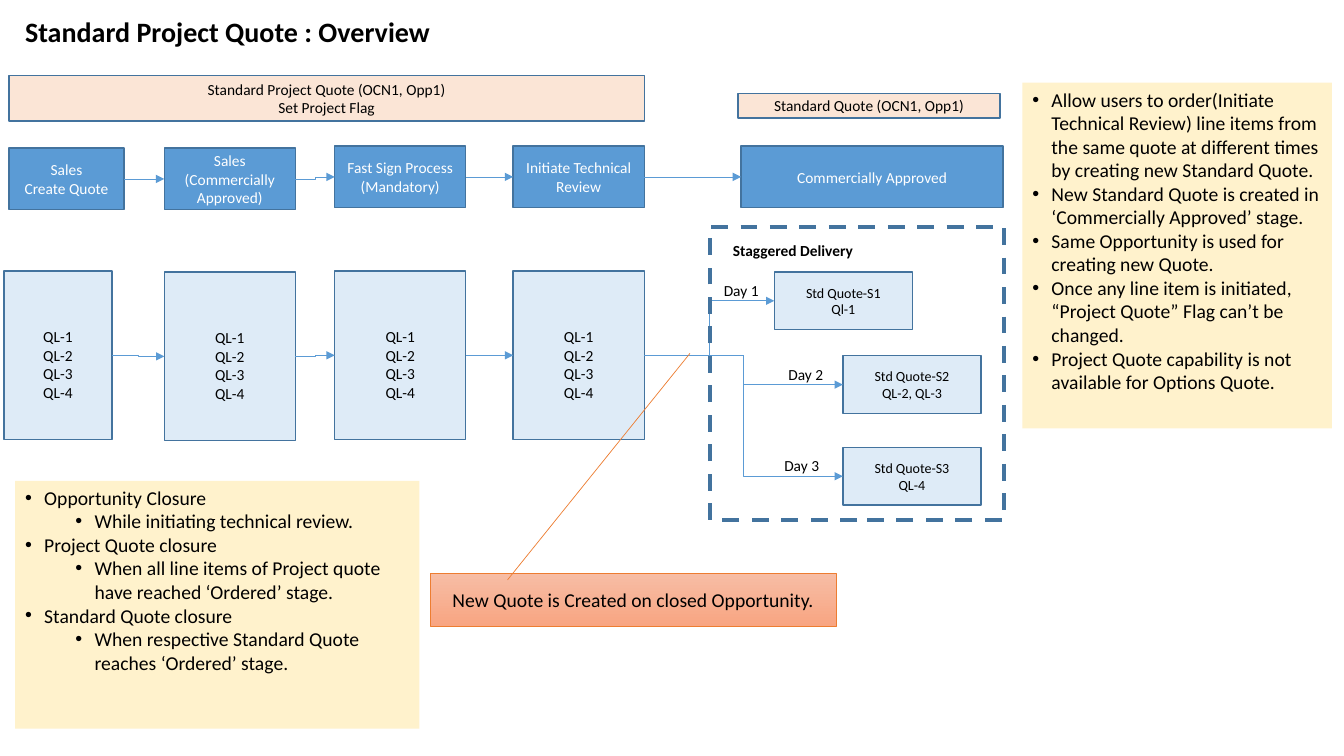
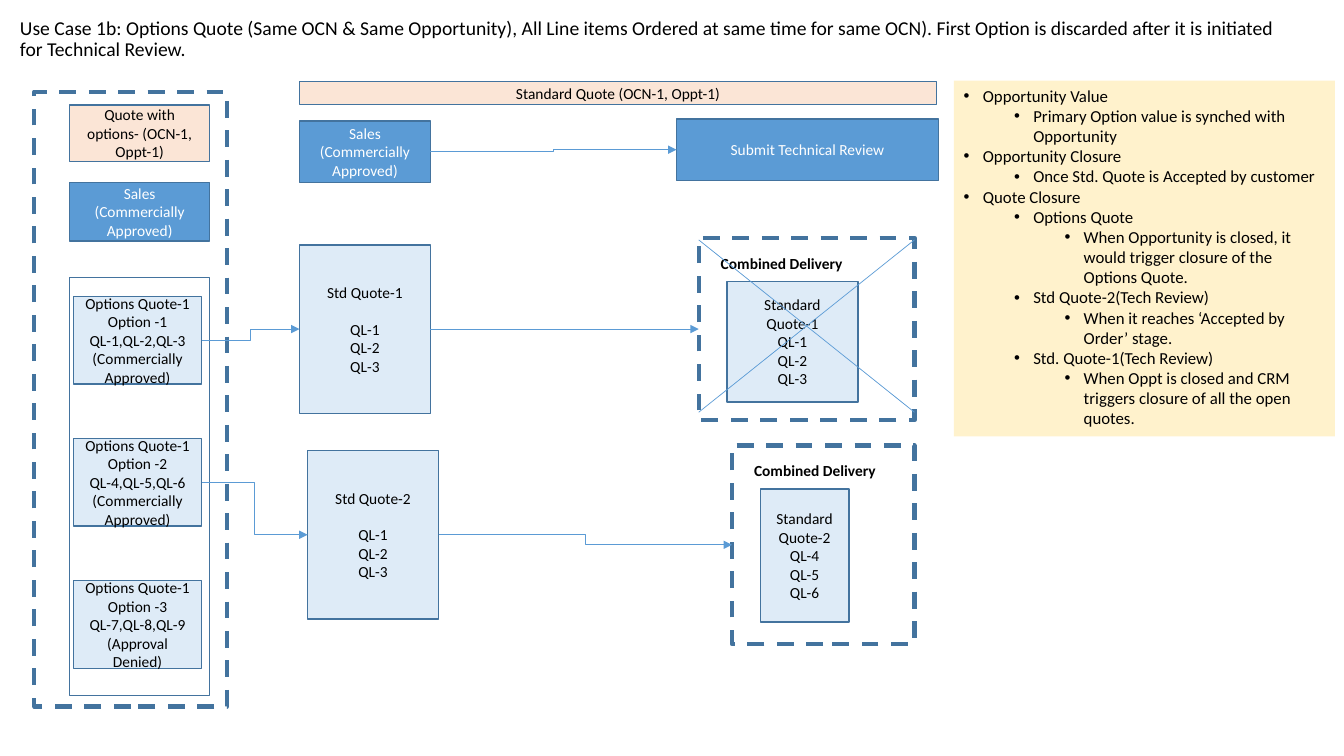
from lxml.etree import SubElement
from pptx import Presentation
from pptx.dml.color import RGBColor
from pptx.enum.dml import MSO_LINE
from pptx.enum.shapes import MSO_CONNECTOR as CONN, MSO_SHAPE as SHAPE
from pptx.enum.text import MSO_ANCHOR as ANCHOR, PP_ALIGN as ALIGN
from pptx.oxml.ns import qn
from pptx.util import Inches, Pt

FONT = "Calibri"
COLORS = {
    "text": "000000", "white": "FFFFFF", "stage": "5B9BD5", "items": "DEEBF7",
    "header": "FBE5D6", "note": "FFF2CC", "border": "43739E", "accent": "ED7D31",
    "callout_top": "F7BDA5", "callout_bottom": "F8A582",
}
LEFT_SITE, RIGHT_SITE = 1, 3
BLANK_LINE = 0.18
APPROVED = "Sales\n(Commercially Approved)"


def rgb(name):
    """Return the named colour."""
    return RGBColor.from_string(COLORS[name])


def write(shape, text, size=11, color="text", bold=False, align=ALIGN.CENTER,
          anchor=ANCHOR.MIDDLE):
    """Fill a shape with wrapped text in one style."""
    tf = shape.text_frame
    tf.text = text
    tf.word_wrap = True
    tf.vertical_anchor = anchor
    for p in tf.paragraphs:
        p.alignment = align
        for r in p.runs:
            r.font.name, r.font.size, r.font.bold = FONT, Pt(size), bold
            r.font.color.rgb = rgb(color)
    return tf


def add_box(s, x, y, w, h, text="", fill=None, size=11, kind=SHAPE.RECTANGLE):
    """Add a bordered box with centred text."""
    sp = s.shapes.add_shape(kind, Inches(x), Inches(y), Inches(w), Inches(h))
    sp.shadow.inherit = False
    if fill:
        sp.fill.solid()
        sp.fill.fore_color.rgb = rgb(fill)
    else:
        sp.fill.background()
    sp.line.color.rgb = rgb("border")
    sp.line.width = Pt(1)
    write(sp, text, size, "white" if fill == "stage" else "text")
    return sp


def add_frame(s, x, y, w, h):
    """Add a thick dashed frame."""
    sp = add_box(s, x, y, w, h)
    sp.line.width = Pt(3)
    sp.line.dash_style = MSO_LINE.DASH
    return sp


def add_label(s, x, y, w, text, h=0.29, size=11, bold=False, anchor=ANCHOR.TOP):
    """Add left-aligned text without a border."""
    sp = s.shapes.add_textbox(Inches(x), Inches(y), Inches(w), Inches(h))
    return write(sp, text, size, bold=bold, align=ALIGN.LEFT, anchor=anchor)


def add_title(s, x, y, w, h, text, size, bold=False):
    """Add the slide title."""
    tf = add_label(s, x, y, w, text, h, size, bold, ANCHOR.MIDDLE)
    tf.paragraphs[0].line_spacing = 0.9


def add_notes_panel(s, x, y, w, h, items, size):
    """Add a bulleted panel from (level, text) pairs."""
    sp = add_box(s, x, y, w, h, fill="note")
    sp.line.fill.background()
    tf = write(sp, "\n".join(text for _, text in items), size,
               align=ALIGN.LEFT, anchor=ANCHOR.TOP)
    for p, (level, _) in zip(tf.paragraphs, items):
        p.level = level
        pPr = p._p.get_or_add_pPr()
        pPr.set("marL", str(Inches(0.19 + 0.5 * level)))
        pPr.set("indent", str(Inches(-0.19)))
        SubElement(pPr, qn("a:buFont")).set("typeface", "Arial")
        SubElement(pPr, qn("a:buChar")).set("char", "•")


def add_line(s, x1, y1, x2, y2, kind=CONN.STRAIGHT):
    """Add a thin line without a shadow."""
    c = s.shapes.add_connector(kind, x1, y1, x2, y2)
    c.line.color.rgb = rgb("stage")
    c.line.width = Pt(0.5)
    SubElement(c._element.spPr, qn("a:effectLst"))
    return c


def link(s, start, end):
    """Join two boxes, right side to left side, with an elbow arrow."""
    c = add_line(s, start.left + start.width, start.top + start.height // 2,
                 end.left, end.top + end.height // 2, CONN.ELBOW)
    c.begin_connect(start, RIGHT_SITE)
    c.end_connect(end, LEFT_SITE)
    ln = c._element.spPr.find(qn("a:ln"))
    SubElement(ln, qn("a:tailEnd")).set("type", "triangle")


def link_row(s, boxes):
    """Join neighbouring boxes with arrows."""
    for start, end in zip(boxes, boxes[1:]):
        link(s, start, end)


def add_stages(s, x, y):
    """Draw the quote headers and the row of process stages."""
    add_box(s, x, y, 6.3, 0.45, "Standard Project Quote (OCN1, Opp1)\nSet Project Flag", "header")
    add_box(s, x + 7.23, y + 0.18, 2.6, 0.24, "Standard Quote (OCN1, Opp1)", "header")
    stages = [
        (0, 0.72, 1.14, "Sales\nCreate Quote"),
        (1.54, 0.72, 1.3, APPROVED),
        (3.23, 0.7, 1.3, "Fast Sign Process\n(Mandatory)"),
        (5, 0.7, 1.3, "Initiate Technical Review"),
        (7.26, 0.7, 2.6, "Commercially Approved"),
    ]
    link_row(s, [add_box(s, x + dx, y + dy, w, 0.61, text, "stage")
                 for dx, dy, w, text in stages])


def add_line_items(s, x, y):
    """Draw the line items of each stage and return the last box."""
    text = "\n".join(f"QL-{n}" for n in range(1, 5))
    boxes = []
    for dx, dy, w in [(0, 0, 1.07), (1.59, 0.01, 1.3), (3.28, 0, 1.3), (5.05, 0, 1.3)]:
        sp = add_box(s, x + dx, y + dy, w, 1.67, text, "items")
        sp.text_frame.margin_top = Inches(0.05 + BLANK_LINE)
        boxes.append(sp)
    link_row(s, boxes)
    return boxes[-1]


def add_staggered_delivery(s, x, y, w, h, source):
    """Draw the framed deliveries, each fed from the source box."""
    deliveries = [
        (0.64, 0.45, 0.04, "Std Quote-S1\nQl-1"),
        (1.32, 1.28, 0.68, "Std Quote-S2\nQL-2, QL-3"),
        (1.32, 2.19, 0.64, "Std Quote-S3\nQL-4"),
    ]
    for day, (dx, dy, label_dx, text) in enumerate(deliveries, 1):
        quote = add_box(s, x + dx, y + dy, 1.37, 0.57, text, "items", 10)
        link(s, source, quote)
        add_label(s, x + label_dx, y + dy + 0.04, 0.75, f"Day {day}")
    add_frame(s, x, y, w, h)
    add_label(s, x + 0.13, y + 0.09, 2.15, "Staggered Delivery", bold=True)


def add_callout(s, x, y, w, h, text):
    """Draw the gradient callout with its pointer line."""
    sp = add_box(s, x, y, w, h, text, size=14, kind=SHAPE.LINE_CALLOUT_1)
    for i, value in enumerate([0.12, 0.19, -4.2, 0.64]):
        sp.adjustments[i] = value
    sp.fill.gradient()
    sp.fill.gradient_angle = 270
    for stop, name in zip(sp.fill.gradient_stops, ("callout_top", "callout_bottom")):
        stop.color.rgb = rgb(name)
    sp.line.color.rgb = rgb("accent")
    sp.line.width = Pt(0.5)


def add_options(s, x, y, w, h):
    """Draw the framed quote options and return their boxes."""
    left = x + 0.35
    add_box(s, left, y + 0.13, 1.39, 0.56, "Quote with options- (OCN-1, Oppt-1)", "header")
    add_box(s, left, y + 0.9, 1.39, 0.58, APPROVED, "stage")
    add_box(s, left, y + 1.84, 1.39, 4.15)
    options = [
        "QL-1,QL-2,QL-3\n(Commercially Approved)",
        "QL-4,QL-5,QL-6\n(Commercially Approved)",
        "QL-7,QL-8,QL-9\n(Approval Denied)",
    ]
    boxes = [add_box(s, left + 0.04, y + 2.03 + 1.41 * i, 1.27, 0.87,
                     f"Options Quote-1\nOption -{i + 1}\n{text}", "items")
             for i, text in enumerate(options)]
    add_frame(s, x, y, w, h)
    return boxes


def add_standard_header(s, x, y):
    """Draw the standard quote header with its two stages."""
    add_box(s, x, y, 6.32, 0.23, "Standard Quote (OCN-1, Oppt-1)", "header")
    link_row(s, [
        add_box(s, x, y + 0.39, 1.3, 0.61, APPROVED, "stage"),
        add_box(s, x + 3.74, y + 0.37, 2.6, 0.61, "Submit Technical Review", "stage"),
    ])


def add_standard_quote(s, x, y, number):
    """Draw one standard quote with its line items."""
    sp = add_box(s, x, y, 1.3, 1.67, f"Std Quote-{number}\nQL-1\nQL-2\nQL-3", "items")
    sp.text_frame.paragraphs[0].space_after = Inches(BLANK_LINE)
    return sp


def add_combined_delivery(s, x, y, w, h, quote_w, quote_h, text, source):
    """Draw a framed delivery fed from the source box."""
    add_box(s, x + 0.28, y + 0.43, quote_w, quote_h, text, "items")
    link(s, source, add_frame(s, x, y, w, h))
    add_label(s, x + 0.12, y + 0.11, 1.45, "Combined Delivery", bold=True)


def add_cross(s, x, y, w, h):
    """Cross out a region."""
    x1, y1, x2, y2 = (Inches(v) for v in (x, y, x + w, y + h))
    add_line(s, x1, y1, x2, y2)
    add_line(s, x2, y1, x1, y2)


def build_overview(s):
    """Build the overview of the standard project quote."""
    add_title(s, 0.15, 0.14, 5.21, 0.38, "Standard Project Quote : Overview", 20, True)
    add_stages(s, 0.09, 0.75)
    source = add_line_items(s, 0.04, 2.69)
    add_notes_panel(s, 0.15, 4.77, 4.01, 2.46, [
        (0, "Opportunity Closure"),
        (1, "While initiating technical review."),
        (0, "Project Quote closure"),
        (1, "When all line items of Project quote have reached ‘Ordered’ stage."),
        (0, "Standard Quote closure"),
        (1, "When respective Standard Quote reaches ‘Ordered’ stage."),
    ], 14)
    add_staggered_delivery(s, 7.04, 2.25, 2.92, 2.91, source)
    add_callout(s, 4.27, 5.69, 4.02, 0.52, "New Quote is Created on closed Opportunity.")
    add_notes_panel(s, 10.14, 0.82, 3.07, 3.43, [
        (0, "Allow users to order(Initiate Technical Review) line items from the same "
            "quote at different times by creating new Standard Quote."),
        (0, "New Standard Quote is created in ‘Commercially Approved’ stage."),
        (0, "Same Opportunity is used for creating new Quote."),
        (0, "Once any line item is initiated, “Project Quote” Flag can’t be changed."),
        (0, "Project Quote capability is not available for Options Quote."),
    ], 14)


def build_use_case(s):
    """Build the use case with quote options."""
    add_title(s, 0.1, 0.15, 12.86, 0.49,
              "Use Case 1b: Options Quote (Same OCN & Same Opportunity), All Line items "
              "Ordered at same time for same OCN). First Option is discarded after it is "
              "initiated for Technical Review.", 14)
    options = add_options(s, 0.34, 0.91, 1.91, 6.1)
    add_standard_header(s, 2.97, 0.81)
    quotes = [add_standard_quote(s, 2.97, 2.43, 1), add_standard_quote(s, 3.05, 4.47, 2)]
    for option, quote in zip(options, quotes):
        link(s, option, quote)
    add_combined_delivery(s, 6.93, 2.36, 2.14, 1.81, 1.3, 1.2,
                          "Standard Quote-1\nQL-1\nQL-2\nQL-3", quotes[0])
    add_combined_delivery(s, 7.26, 4.42, 1.81, 1.97, 0.88, 1.32,
                          "Standard Quote-2\nQL-4\nQL-5\nQL-6", quotes[1])
    add_cross(s, 6.93, 2.38, 2.14, 1.71)
    add_notes_panel(s, 9.46, 0.8, 3.78, 3.53, [
        (0, "Opportunity Value"),
        (1, "Primary Option value is synched with Opportunity"),
        (0, "Opportunity Closure"),
        (1, "Once Std. Quote is Accepted by customer"),
        (0, "Quote Closure"),
        (1, "Options Quote"),
        (2, "When Opportunity is closed, it would trigger closure of the Options Quote."),
        (1, "Std Quote-2(Tech Review)"),
        (2, "When it reaches ‘Accepted by Order’ stage."),
        (1, "Std. Quote-1(Tech Review)"),
        (2, "When Oppt is closed and CRM triggers closure of all the open quotes."),
    ], 12)


def main():
    """Build and save the presentation."""
    prs = Presentation()
    prs.slide_width, prs.slide_height = Inches(13.33), Inches(7.5)
    for build in (build_overview, build_use_case):
        build(prs.slides.add_slide(prs.slide_layouts[6]))
    prs.save("out.pptx")


if __name__ == "__main__":
    main()
